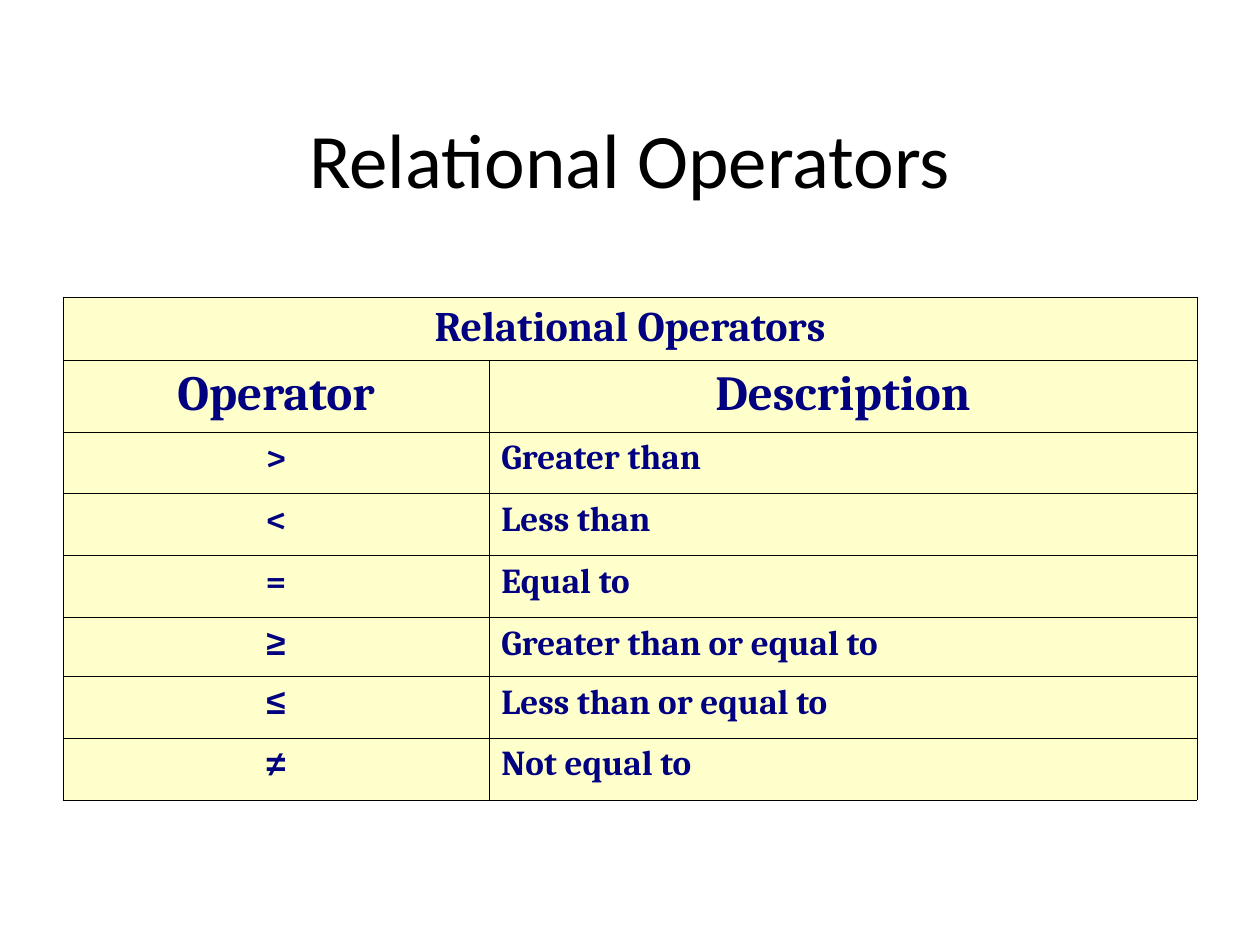
from lxml import etree
from pptx import Presentation
from pptx.dml.color import RGBColor
from pptx.enum.text import MSO_ANCHOR, PP_ALIGN
from pptx.oxml.ns import qn
from pptx.util import Inches, Pt


def color(value):
    return RGBColor.from_string(value)


def add_borders(cell, value, width):
    tcPr = cell._tc.get_or_add_tcPr()
    for i, side in enumerate(("lnL", "lnR", "lnT", "lnB")):
        ln = etree.Element(qn(f"a:{side}"), w=str(Pt(width)))
        fill = etree.SubElement(ln, qn("a:solidFill"))
        etree.SubElement(fill, qn("a:srgbClr"), val=value)
        tcPr.insert(i, ln)


prs = Presentation()
prs.slide_width = Inches(10)
prs.slide_height = Inches(7.5)
s = prs.slides.add_slide(prs.slide_layouts[5])

title = s.shapes.title
title.left, title.top = Inches(0.5), Inches(0.5)
title.width, title.height = Inches(9), Inches(1.5)
tf = title.text_frame
tf.vertical_anchor = MSO_ANCHOR.MIDDLE
p = tf.paragraphs[0]
p.alignment = PP_ALIGN.CENTER
r = p.add_run()
r.text = "Relational Operators"
r.font.name = "Calibri"
r.font.size = Pt(44)
r.font.color.rgb = color("000000")

rows = [
    ("Relational Operators", ""),
    ("Operator", "Description"),
    (">", "Greater than"),
    ("<", "Less than"),
    ("=", "Equal to"),
    ("≥", "Greater than or equal to"),
    ("≤", "Less than or equal to"),
    ("≠", "Not equal to"),
]
heights = [0.5, 0.57, 0.49, 0.49, 0.49, 0.47, 0.49, 0.49]
header_sizes = [24, 28]

table = s.shapes.add_table(
    len(rows), 2, Inches(0.5), Inches(2.36), Inches(9), Inches(sum(heights))
).table
table.first_row = False
table.horz_banding = False
table.columns[0].width = Inches(3.38)
table.columns[1].width = Inches(5.62)
table.cell(0, 0).merge(table.cell(0, 1))

for i, row in enumerate(rows):
    table.rows[i].height = Inches(heights[i])
    is_header = i < len(header_sizes)
    for j, text in enumerate(row):
        cell = table.cell(i, j)
        cell.fill.solid()
        cell.fill.fore_color.rgb = color("FFFFCC")
        add_borders(cell, "000000", 0.45)
        if not text:
            continue
        p = cell.text_frame.paragraphs[0]
        p.alignment = PP_ALIGN.CENTER if is_header or j == 0 else PP_ALIGN.LEFT
        pPr = p._p.get_or_add_pPr()
        pPr.set("marL", str(Inches(0.38)))
        pPr.set("indent", str(Inches(-0.38)))
        r = p.add_run()
        r.text = text
        r.font.name = "Arial" if text in "≥≤≠" else "Cambria"
        r.font.size = Pt(header_sizes[i] if is_header else 20)
        r.font.bold = True
        r.font.color.rgb = color("000080")

prs.save("out.pptx")
